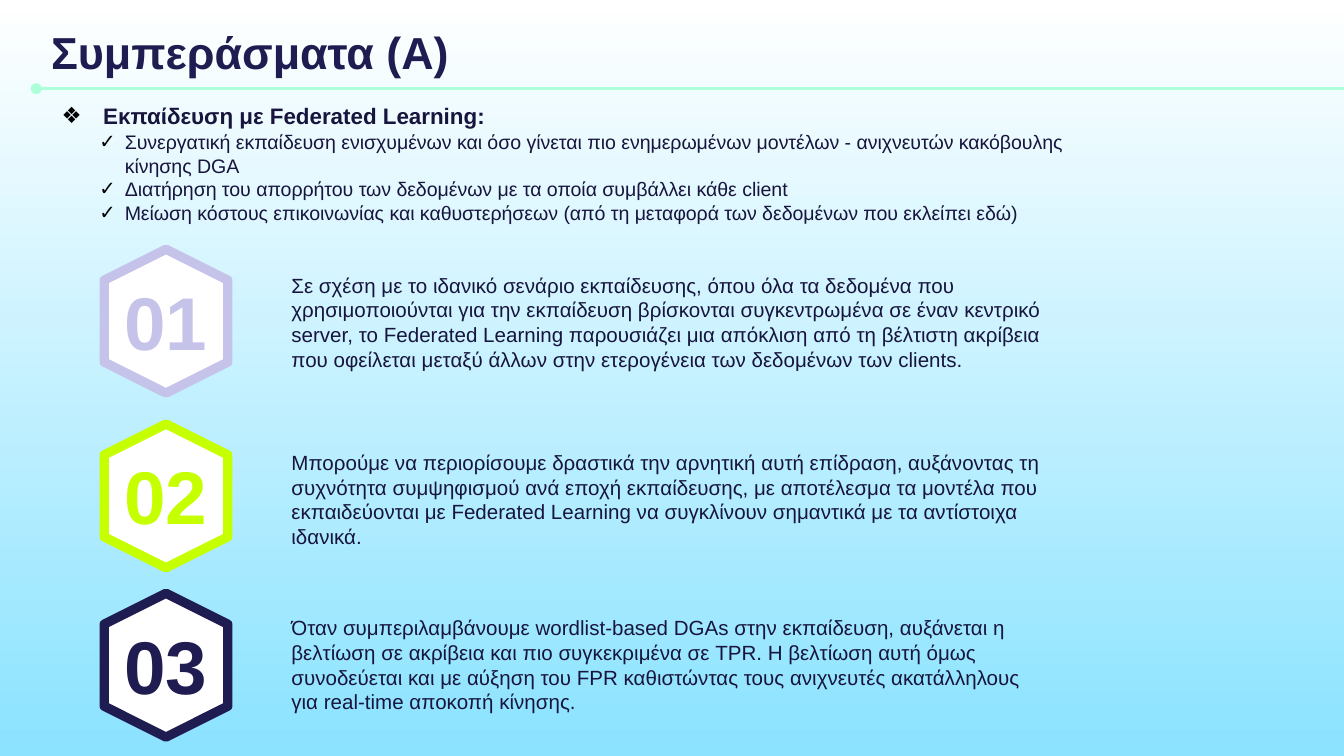
from lxml import etree
from pptx import Presentation
from pptx.dml.color import RGBColor
from pptx.enum.shapes import MSO_CONNECTOR, MSO_SHAPE
from pptx.enum.text import MSO_ANCHOR, MSO_AUTO_SIZE, PP_ALIGN
from pptx.oxml.ns import qn
from pptx.util import Inches, Pt

HEXAGON = MSO_SHAPE.HEXAGON
STRAIGHT = MSO_CONNECTOR.STRAIGHT
LEFT, CENTER = PP_ALIGN.LEFT, PP_ALIGN.CENTER
TOP, MIDDLE = MSO_ANCHOR.TOP, MSO_ANCHOR.MIDDLE
NO_AUTO_SIZE = MSO_AUTO_SIZE.NONE
FONT = "Arial"
NAVY, INK, LIME, LILAC = "1F1C51", "17153D", "C6FF00", "C6C3EA"
MINT, SKY, WHITE, BLACK = "ACFFD9", "8BE3FF", "FFFFFF", "000000"

TITLE = "Συμπεράσματα (A)"
HEADING = "Εκπαίδευση με Federated Learning:"
BENEFITS = [
    "Συνεργατική εκπαίδευση ενισχυμένων και όσο γίνεται πιο ενημερωμένων μοντέλων - ανιχνευτών κακόβουλης κίνησης DGA",
    "Διατήρηση του απορρήτου των δεδομένων με τα οποία συμβάλλει κάθε client",
    "Μείωση κόστους επικοινωνίας και καθυστερήσεων (από τη μεταφορά των δεδομένων που εκλείπει εδώ)",
]
CONCLUSIONS = [
    (1.93, 0.05, LILAC,
     "Σε σχέση με το ιδανικό σενάριο εκπαίδευσης, όπου όλα τα δεδομένα που χρησιμοποιούνται για την εκπαίδευση "
     "βρίσκονται συγκεντρωμένα σε έναν κεντρικό server, το Federated Learning παρουσιάζει μια απόκλιση από τη "
     "βέλτιστη ακρίβεια που οφείλεται μεταξύ άλλων στην ετερογένεια των δεδομένων των clients."),
    (3.23, 0.07, LIME,
     "Μπορούμε να περιορίσουμε δραστικά την αρνητική αυτή επίδραση, αυξάνοντας τη συχνότητα συμψηφισμού ανά εποχή "
     "εκπαίδευσης, με αποτέλεσμα τα μοντέλα που εκπαιδεύονται με Federated Learning να συγκλίνουν σημαντικά με τα "
     "αντίστοιχα ιδανικά."),
    (4.49, 0.04, NAVY,
     "Όταν συμπεριλαμβάνουμε wordlist-based DGAs στην εκπαίδευση, αυξάνεται η βελτίωση σε ακρίβεια και πιο "
     "συγκεκριμένα σε TPR. Η βελτίωση αυτή όμως συνοδεύεται και με αύξηση του FPR καθιστώντας τους ανιχνευτές "
     "ακατάλληλους για real-time αποκοπή κίνησης."),
]


def color(value):
    """Turn a hex string into a colour."""
    return RGBColor.from_string(value)


def place(shape, left, top, width, height):
    """Position a shape in inches."""
    shape.left, shape.top = Inches(left), Inches(top)
    shape.width, shape.height = Inches(width), Inches(height)


def add_bullet(paragraph, symbol, indent):
    """Give a paragraph a black bullet with a hanging indent."""
    properties = paragraph._p.get_or_add_pPr()
    properties.set("marL", str(Inches(indent)))
    properties.set("indent", str(-Inches(indent)))
    bullet_color = etree.SubElement(properties, qn("a:buClr"))
    etree.SubElement(bullet_color, qn("a:srgbClr"), val=BLACK)
    etree.SubElement(properties, qn("a:buFont"), typeface=FONT)
    etree.SubElement(properties, qn("a:buChar"), char=symbol)


def write_text(shape, *texts, size, fill=INK, bold=False, align=LEFT,
               anchor=TOP, inset=0.05, bullet=None, indent=0):
    """Write one formatted paragraph for each text."""
    frame = shape.text_frame
    frame.word_wrap = True
    frame.auto_size = NO_AUTO_SIZE
    frame.vertical_anchor = anchor
    frame.margin_left = frame.margin_right = Inches(0.1)
    frame.margin_top = frame.margin_bottom = Inches(inset)
    for index, text in enumerate(texts):
        paragraph = frame.add_paragraph() if index else frame.paragraphs[0]
        paragraph.alignment = align
        if bullet:
            add_bullet(paragraph, bullet, indent)
        run = paragraph.add_run()
        run.text = text
        run.font.name, run.font.size, run.font.bold = FONT, Pt(size), bold
        run.font.color.rgb = color(fill)


def add_text(slide, box, *texts, **style):
    """Add a text box and write its paragraphs."""
    shape = slide.shapes.add_textbox(*map(Inches, box))
    write_text(shape, *texts, **style)


def paint_background(slide):
    """Fade the background from sky blue at the bottom to white."""
    fill = slide.background.fill
    fill.gradient()
    fill.gradient_angle = 90
    for stop, position, value in zip(fill.gradient_stops, (0, 1), (SKY, WHITE)):
        stop.position, stop.color.rgb = position, color(value)


def build_header(slide, left, top, width, height):
    """Set the title above a rule that starts with a dot."""
    rule_top = Inches(top + height - 0.02)
    rule = slide.shapes.add_connector(STRAIGHT, Inches(left - 0.01), rule_top, Inches(10.1), rule_top)
    rule.line.color.rgb, rule.line.width = color(MINT), Pt(1.5)
    etree.SubElement(rule.line._get_or_add_ln(), qn("a:headEnd"), type="oval")
    etree.SubElement(rule._element.spPr, qn("a:effectLst"))
    title = slide.shapes.title
    place(title, left, top, width, height)
    write_text(title, TITLE, size=24, fill=NAVY, bold=True, anchor=MIDDLE, inset=0.1)


def build_benefits(slide, left, top):
    """Set the heading and its list of check marks."""
    add_text(slide, (left, top, 3.57, 0.54), HEADING, size=12, bold=True, bullet="❖", indent=0.31)
    add_text(slide, (left + 0.28, top + 0.21, 7.78, 0.81), *BENEFITS, size=10.5, bullet="✓", indent=0.19)


def build_conclusion(slide, left, top, number, text_offset, accent, text):
    """Set a numbered upright hexagon with its conclusion beside it."""
    length, breadth = 1.07, 0.92
    hexagon = slide.shapes.add_shape(HEXAGON, *map(Inches, (left, top, length, breadth)))
    hexagon.rotation = 90
    hexagon.shadow.inherit = False
    hexagon.fill.solid()
    hexagon.fill.fore_color.rgb = color(WHITE)
    hexagon.line.color.rgb, hexagon.line.width = color(accent), Pt(5)
    etree.SubElement(hexagon.line._get_or_add_ln(), qn("a:round"))
    add_text(slide, (left + 0.12, top + 0.07, 0.83, 0.77), f"{number:02}",
             size=40, fill=accent, bold=True, align=CENTER)
    add_text(slide, (left + 1.37, top + text_offset, 5.83, 1.08), text, size=11)


def main():
    """Build and save the presentation."""
    presentation = Presentation()
    presentation.slide_width = Inches(10)
    presentation.slide_height = presentation.slide_width * 9 // 16
    slide = presentation.slides.add_slide(presentation.slide_layouts[5])
    paint_background(slide)
    build_header(slide, 0.28, 0.09, 8.7, 0.59)
    build_benefits(slide, 0.36, 0.71)
    for number, (top, text_offset, accent, text) in enumerate(CONCLUSIONS, 1):
        build_conclusion(slide, 0.7, top, number, text_offset, accent, text)
    presentation.save("out.pptx")


if __name__ == "__main__":
    main()
